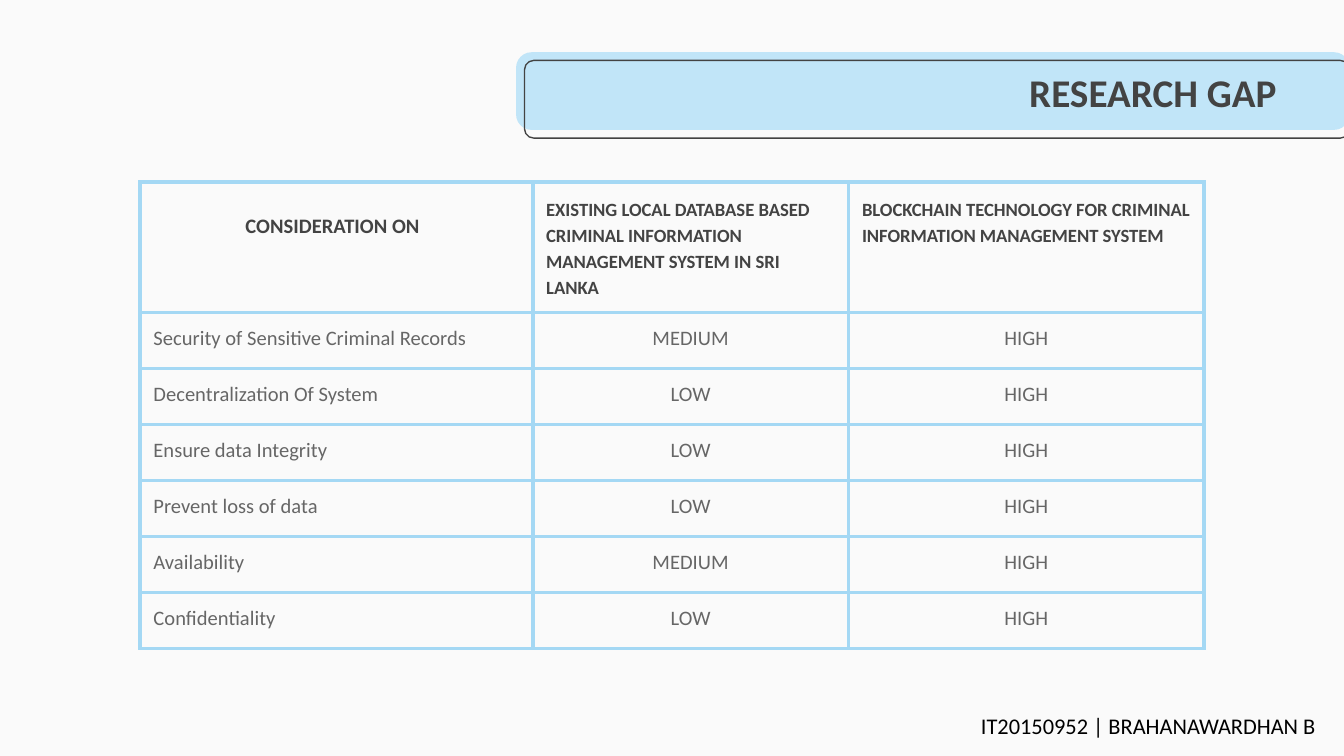
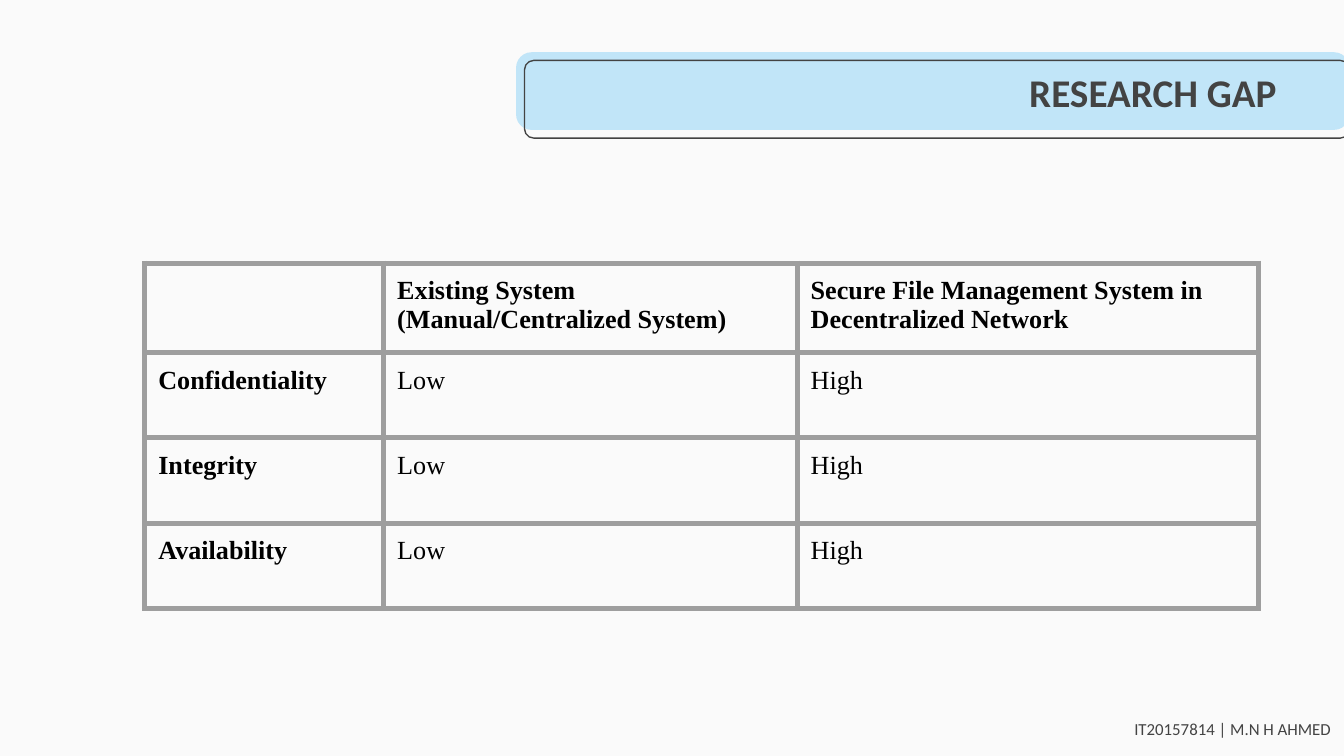
from lxml.etree import SubElement
from pptx import Presentation
from pptx.dml.color import RGBColor
from pptx.enum.shapes import MSO_SHAPE
from pptx.enum.text import MSO_ANCHOR, PP_ALIGN
from pptx.oxml.ns import qn
from pptx.util import Pt

PAPER, BAND, INK, GREY, BLACK = "FAFAFA", "C1E5F8", "434343", "666666", "000000"
SKY, SILVER = "A4D8F4", "9E9E9E"
SANS, SERIF = "Calibri", "Times New Roman"
INSET = 7.2
LEFT, CENTER, RIGHT = PP_ALIGN.LEFT, PP_ALIGN.CENTER, PP_ALIGN.RIGHT


def color(value):
    return RGBColor.from_string(value)


def write(frame, text, size=11, font=SANS, ink=INK, bold=False, align=LEFT, spacing=1.0):
    """Fill a text frame; each line of the text becomes a paragraph."""
    frame.word_wrap = True
    frame.text = text
    for para in frame.paragraphs:
        para.alignment = align
        para.line_spacing = spacing
        for span in para.runs:
            span.font.name = font
            span.font.size = Pt(size)
            span.font.bold = bold
            span.font.color.rgb = color(ink)


def set_insets(target, left=INSET, top=INSET, right=INSET, bottom=INSET):
    target.margin_left, target.margin_top = Pt(left), Pt(top)
    target.margin_right, target.margin_bottom = Pt(right), Pt(bottom)


def set_borders(cell, line_color, width):
    properties = cell._tc.get_or_add_tcPr()
    for side in ("lnL", "lnR", "lnT", "lnB"):
        line = SubElement(properties, qn(f"a:{side}"), w=str(int(Pt(width))))
        fill = SubElement(line, qn("a:solidFill"))
        SubElement(fill, qn("a:srgbClr"), val=line_color)


class Deck:
    def __init__(self):
        self.file = Presentation()
        self.file.slide_width, self.file.slide_height = Pt(720), Pt(405)
        self.page = None

    def add_page(self, title):
        """Start a page with the shared background, title band and title."""
        self.page = self.file.slides.add_slide(self.file.slide_layouts[6])
        self.page.background.fill.solid()
        self.page.background.fill.fore_color.rgb = color(PAPER)
        self.add_band(276.5, 28, 446.5, 0.199, fill=BAND)
        self.add_band(281, 32.4, 442, 0.119, line=INK)
        self.add_text(title, 291, 30.2, 400, 38.2, anchor=MSO_ANCHOR.MIDDLE,
                      size=21, bold=True, align=RIGHT)

    def add_band(self, left, top, width, radius, fill=None, line=None):
        band = self.page.shapes.add_shape(
            MSO_SHAPE.ROUNDED_RECTANGLE, Pt(left), Pt(top), Pt(width), Pt(41.6))
        band.shadow.inherit = False
        band.adjustments[0] = radius
        if fill:
            band.fill.solid()
            band.fill.fore_color.rgb = color(fill)
        else:
            band.fill.background()
        if line:
            band.line.color.rgb = color(line)
            band.line.width = Pt(0.75)
        else:
            band.line.fill.background()

    def add_text(self, text, left, top, width, height, anchor=MSO_ANCHOR.TOP, **style):
        box = self.page.shapes.add_textbox(Pt(left), Pt(top), Pt(width), Pt(height))
        set_insets(box.text_frame)
        box.text_frame.vertical_anchor = anchor
        write(box.text_frame, text, **style)

    def add_table(self, rows, left, top, widths, heights, border, style_of):
        """Draw a grid; style_of(row, column) gives the text format of a cell."""
        table = self.page.shapes.add_table(
            len(rows), len(widths), Pt(left), Pt(top),
            Pt(sum(widths)), Pt(sum(heights))).table
        table.first_row = table.horz_banding = False
        for column, width in zip(table.columns, widths):
            column.width = Pt(width)
        for row, height in zip(table.rows, heights):
            row.height = Pt(height)
        for r, texts in enumerate(rows):
            for c, text in enumerate(texts):
                cell = table.cell(r, c)
                set_insets(cell)
                set_borders(cell, *border)
                cell.fill.background()
                write(cell.text_frame, text, **style_of(r, c))
        return table


def criminal_style(row, column):
    if row == 0:
        return dict(size=10 if column else 11, bold=True, spacing=1.15,
                    align=LEFT if column else CENTER)
    return dict(ink=GREY, align=CENTER if column else LEFT)


def file_style(row, column):
    return dict(size=14, font=SERIF, ink=BLACK, bold=row == 0 or column == 0)


def main():
    deck = Deck()

    # Criminal records comparison
    deck.add_page("RESEARCH GAP")
    ratings = [
        ("Security of Sensitive Criminal Records", "MEDIUM"),
        ("Decentralization Of System", "LOW"),
        ("Ensure data Integrity", "LOW"),
        ("Prevent loss of data", "LOW"),
        ("Availability", "MEDIUM"),
        ("Confidentiality", "LOW"),
    ]
    header = ("CONSIDERATION ON",
              "EXISTING LOCAL DATABASE BASED CRIMINAL INFORMATION "
              "MANAGEMENT SYSTEM IN SRI LANKA",
              "BLOCKCHAIN TECHNOLOGY FOR CRIMINAL INFORMATION MANAGEMENT SYSTEM")
    rows = [header] + [(topic, existing, "HIGH") for topic, existing in ratings]
    table = deck.add_table(rows, 75, 97.5, [210.4, 169.2, 190.4],
                           [70] + [30] * len(ratings), (SKY, 2.25), criminal_style)
    set_insets(table.cell(0, 0), top=15, right=11.2)
    deck.add_text("IT20150952 | BRAHANAWARDHAN B", 518.4, 374.4, 201, 28.8,
                  size=12, ink=BLACK)

    # File management comparison
    deck.add_page("RESEARCH GAP")
    topics = ["Confidentiality", "Integrity", "Availability"]
    header = ("", "Existing System\n(Manual/Centralized System)",
              "Secure File Management System in Decentralized Network")
    rows = [header] + [(topic, "Low", "High") for topic in topics]
    deck.add_table(rows, 77.6, 141, [128, 221.5, 247], [45.6] * len(rows),
                   (SILVER, 3), file_style)
    deck.add_text("IT20157814 | M.N H AHMED", 484, 379.6, 236, 25.2,
                  size=9, align=RIGHT)

    deck.file.save("out.pptx")


if __name__ == "__main__":
    main()
